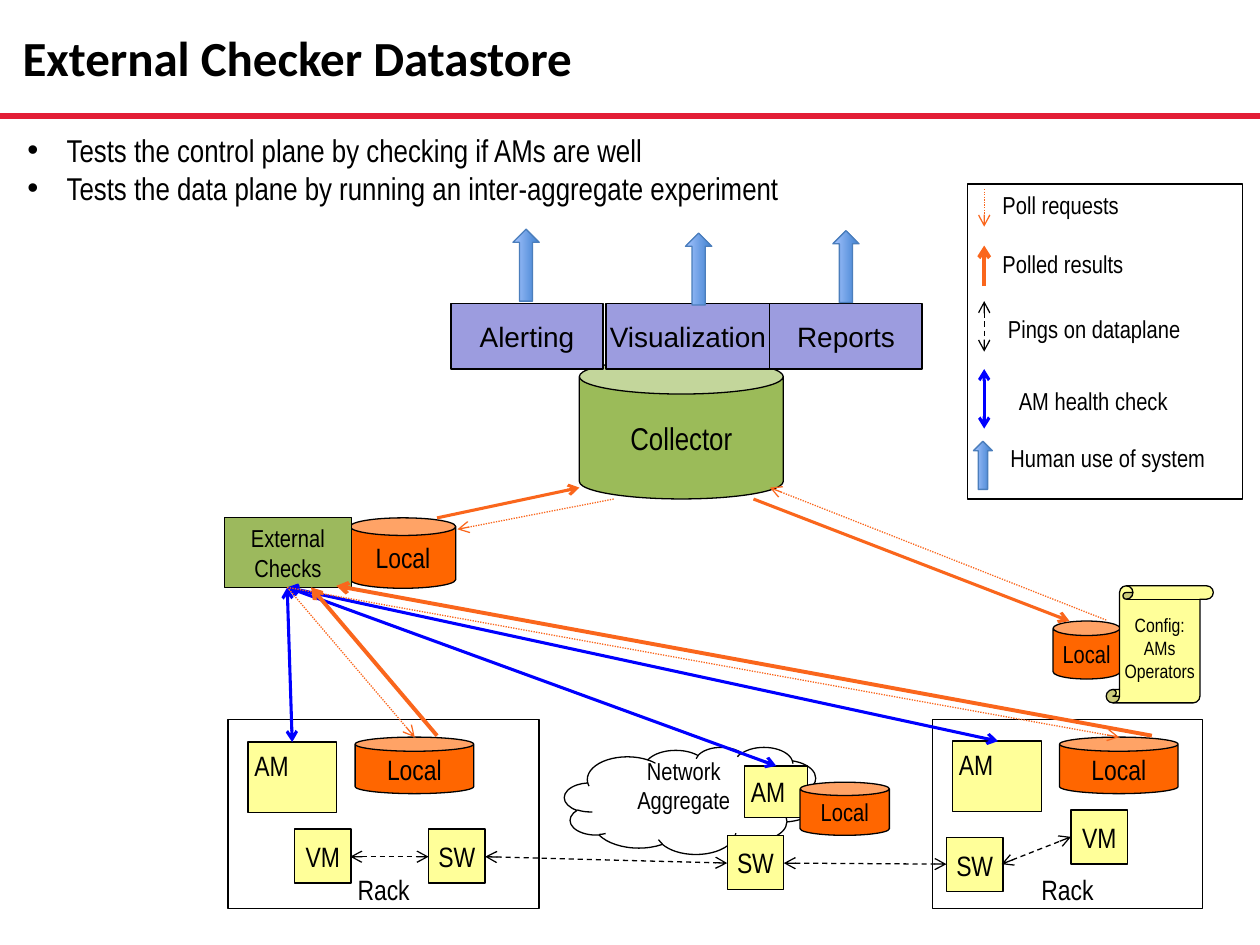
"""Build the External Checker Datastore architecture slide."""
from lxml import etree
from pptx import Presentation
from pptx import util as u
from pptx.dml import color
from pptx.enum import dml, shapes, text
from pptx.oxml import ns

THEME = {
    "ink": "000000", "paper": "FFFFFF", "rule": "E31E36", "orange": "FA661C", "blue": "0000FF",
    "store": "FF6600", "node": "FFFF99", "collector": "9BBB59", "checks": "9CB95D", "app": "9C9CDF",
    "arrow_edge": "4B7EBC", "arrow_dark": "3F80CE", "arrow_light": "A4C4FF",
    "title": 28, "large": 18, "medium": 16, "small": 14, "tiny": 11,
    "head_font": "Calibri", "body_font": "Arial Narrow", "app_font": "Arial",
}
TITLE = "External Checker Datastore"
BULLETS = ["Tests the control plane by checking if AMs are well",
           "Tests the data plane by running an inter-aggregate experiment"]

KINDS = {
    "cloud": dict(preset="CLOUD", fill="paper", size="small", bottom=0.64),
    "collector": dict(preset="CAN", fill="collector", size="large"),
    "store": dict(preset="CAN", fill="store"),
    "small_store": dict(preset="CAN", fill="store", size="small"),
    "node": dict(fill="node"),
    "manager": dict(fill="node", align="LEFT", anchor="TOP", left=0.13),
    "cloud_manager": dict(fill="node", align="LEFT", left=0.13),
    "rack": dict(anchor="BOTTOM", bottom=0.05),
    "checks": dict(fill="checks", size="small"),
    "config": dict(preset="VERTICAL_SCROLL", fill="node", size="tiny"),
    "app": dict(fill="app", font="app_font"),
    "legend": dict(),
}
SW_VM = (1.14, 1.09)
RACK_STORE = (2.39, 1.14)
PARTS = [
    ("cloud", ["Network", "Aggregate"], 11.38, 15.06, 5.18, 2.16),
    ("cloud_manager", ["AM"], 15.01, 15.44, 1.27, 1.04),
    ("collector", ["Collector"], 11.68, 7.24, 4.11, 2.82),
    ("manager", ["AM"], 5, 14.96, 1.78, 1.42),
    ("store", ["Local"], 7.16, 14.86, *RACK_STORE),
    ("rack", ["Rack"], 4.6, 14.5, 6.27, 3.81),
    ("small_store", ["Local"], 16.13, 15.77, 1.8, 1.07),
    ("manager", ["AM"], 19.2, 14.94, 1.8, 1.42),
    ("store", ["Local"], 21.36, 14.86, *RACK_STORE),
    ("rack", ["Rack"], 18.8, 14.5, 5.44, 3.81),
    ("store", ["Local"], 7.06, 10.44, 2.13, 1.42),
    ("checks", ["External Checks"], 4.52, 10.44, 2.57, 1.4),
    ("node", ["SW"], 14.66, 16.84, *SW_VM),
    ("node", ["SW"], 19.08, 16.89, *SW_VM),
    ("node", ["SW"], 8.64, 16.71, *SW_VM),
    ("node", ["VM"], 5.94, 16.71, *SW_VM),
    ("node", ["VM"], 21.59, 16.33, *SW_VM),
    ("legend", [], 19.51, 3.71, 5.54, 6.35),
    ("small_store", ["Local"], 21.23, 12.52, 1.35, 1.17),
    ("config", ["Config:", "AMs", "Operators"], 22.3, 11.81, 2.16, 2.36),
    ("app", ["Alerting"], 9.09, 6.12, 3.07, 1.32),
    ("app", ["Visualization"], 12.22, 6.12, 3.3, 1.32),
    ("app", ["Reports"], 15.52, 6.12, 3.07, 1.32),
]
HUMAN_USE = [(13.36, 5.16, 1.45, 0.53), (16.33, 5.11, 1.45, 0.53),
             (9.88, 5.08, 1.45, 0.53), (19.33, 9.19, 0.97, 0.38)]
LABELS = [("Poll requests", 19.96, 3.71, 3.12), ("Polled results", 19.96, 4.9, 3.25),
          ("Pings on dataplane", 20.07, 6.2, 4.37), ("AM health check", 20.29, 7.65, 3.53),
          ("Human use of system", 20.12, 8.81, 5.05)]

FLOWS = {
    "rule": ("rule", 3, None, ()),
    "request": ("orange", 0.75, "ROUND_DOT", ("tailEnd",)),
    "result": ("orange", 1.75, None, ("tailEnd",)),
    "rack_result": ("orange", 2.25, None, ("tailEnd",)),
    "ping": ("ink", 0.75, "DASH", ("headEnd", "tailEnd")),
    "health": ("blue", 1.75, None, ("headEnd", "tailEnd")),
}
CHECKER = (5.79, 11.84)
KEY_X = 19.84
LINES = [
    ("rule", 25.4, 2.34, 0, 2.34),
    ("result", 8.81, 10.44, 11.68, 9.83),
    ("request", 12.37, 10.06, 9.22, 10.67),
    ("ping", 9.78, 17.27, 14.66, 17.4),
    ("ping", 15.8, 17.4, 19.08, 17.42),
    ("ping", 7.06, 17.27, 8.64, 17.27),
    ("ping", 20.19, 17.42, 21.59, 16.87),
    ("request", 22.3, 12.5, 15.52, 9.83),
    ("result", 15.19, 10.06, 21.56, 12.52),
    ("health", *CHECKER, 5.89, 14.96),
    ("health", *CHECKER, 15.65, 15.44),
    ("health", *CHECKER, 20.12, 14.94),
    ("request", *CHECKER, 8.36, 14.86),
    ("request", *CHECKER, 22.56, 14.86),
    ("rack_result", 23.22, 14.83, 6.78, 11.81),
    ("rack_result", 8.81, 14.83, 6.27, 11.84),
    ("rack_result", KEY_X, 5.77, KEY_X, 4.95),
    ("request", KEY_X, 3.81, KEY_X, 4.57),
    ("ping", KEY_X, 6.07, KEY_X, 7.09),
    ("health", KEY_X, 7.44, KEY_X, 8.64),
]


def rgb(name):
    return color.RGBColor.from_string(THEME[name])


def cm(*values):
    return [u.Cm(v) for v in values]


def write(tf, lines, size, font="body_font", align="LEFT", anchor="MIDDLE", bold=False):
    tf.word_wrap = True
    tf.auto_size = text.MSO_AUTO_SIZE.NONE
    tf.vertical_anchor = text.MSO_ANCHOR[anchor]
    for i, line in enumerate(lines):
        p = tf.add_paragraph() if i else tf.paragraphs[0]
        p.alignment = text.PP_ALIGN[align]
        p.space_before = u.Pt(0)
        r = p.add_run()
        r.text = line
        r.font.size, r.font.name, r.font.bold = u.Pt(THEME[size]), THEME[font], bold
        r.font.color.rgb = rgb("ink")


def place(sp, *box):
    sp.left, sp.top, sp.width, sp.height = cm(*box)


def add_part(s, lines, box, preset="RECTANGLE", fill=None, size="medium", left=0, bottom=0.13, **style):
    sp = s.shapes.add_shape(shapes.MSO_SHAPE[preset], *cm(*box))
    sp.shadow.inherit = False
    if fill:
        sp.fill.solid()
        sp.fill.fore_color.rgb = rgb(fill)
    else:
        sp.fill.background()
    sp.line.color.rgb, sp.line.width = rgb("ink"), u.Pt(0.75)
    tf = sp.text_frame
    tf.margin_left, tf.margin_top, tf.margin_right, tf.margin_bottom = cm(left, 0.13, 0, bottom)
    write(tf, lines, size, **{"align": "CENTER", **style})


def add_human_use(s, box):
    sp = s.shapes.add_shape(shapes.MSO_SHAPE.RIGHT_ARROW, *cm(*box))
    sp.rotation = 270
    sp.shadow.inherit = False
    sp.fill.gradient()
    sp.fill.gradient_angle = 90
    for stop, name in zip(sp.fill.gradient_stops, ("arrow_dark", "arrow_light")):
        stop.color.rgb = rgb(name)
    sp.line.color.rgb, sp.line.width = rgb("arrow_edge"), u.Pt(0.75)


def add_flow(s, kind, *ends):
    name, width, dash, heads = FLOWS[kind]
    sp = s.shapes.add_connector(shapes.MSO_CONNECTOR.STRAIGHT, *cm(*ends))
    sp.line.color.rgb, sp.line.width = rgb(name), u.Pt(width)
    if dash:
        sp.line.dash_style = dml.MSO_LINE[dash]
    ln = sp.line._get_or_add_ln()
    for head in heads:
        etree.SubElement(ln, ns.qn("a:" + head), type="arrow")
    etree.SubElement(sp._element.spPr, ns.qn("a:effectLst"))


prs = Presentation()
prs.slide_width, prs.slide_height = cm(25.4, 19.05)
s = prs.slides.add_slide(prs.slide_layouts[1])
title, body = s.placeholders
place(title, 0.2, 0.2, 19.76, 1.9)
write(title.text_frame, [TITLE], "title", "head_font", bold=True)
place(body, 0.3, 2.51, 16.5, 2.57)
write(body.text_frame, BULLETS, "large", anchor="TOP")
for p in body.text_frame.paragraphs:
    pPr = p._p.get_or_add_pPr()
    pPr.set("marL", str(u.Cm(0.79)))
    pPr.set("indent", str(u.Cm(-0.79)))
    etree.SubElement(pPr, ns.qn("a:buChar"), char="•")

for kind, lines, *box in PARTS:
    add_part(s, lines, box, **KINDS[kind])
for box in HUMAN_USE:
    add_human_use(s, box)
for label, x, y, w in LABELS:
    tb = s.shapes.add_textbox(*cm(x, y, w, 0.86))
    write(tb.text_frame, [label], "small", anchor="TOP")
for line in LINES:
    add_flow(s, *line)

prs.save("out.pptx")
